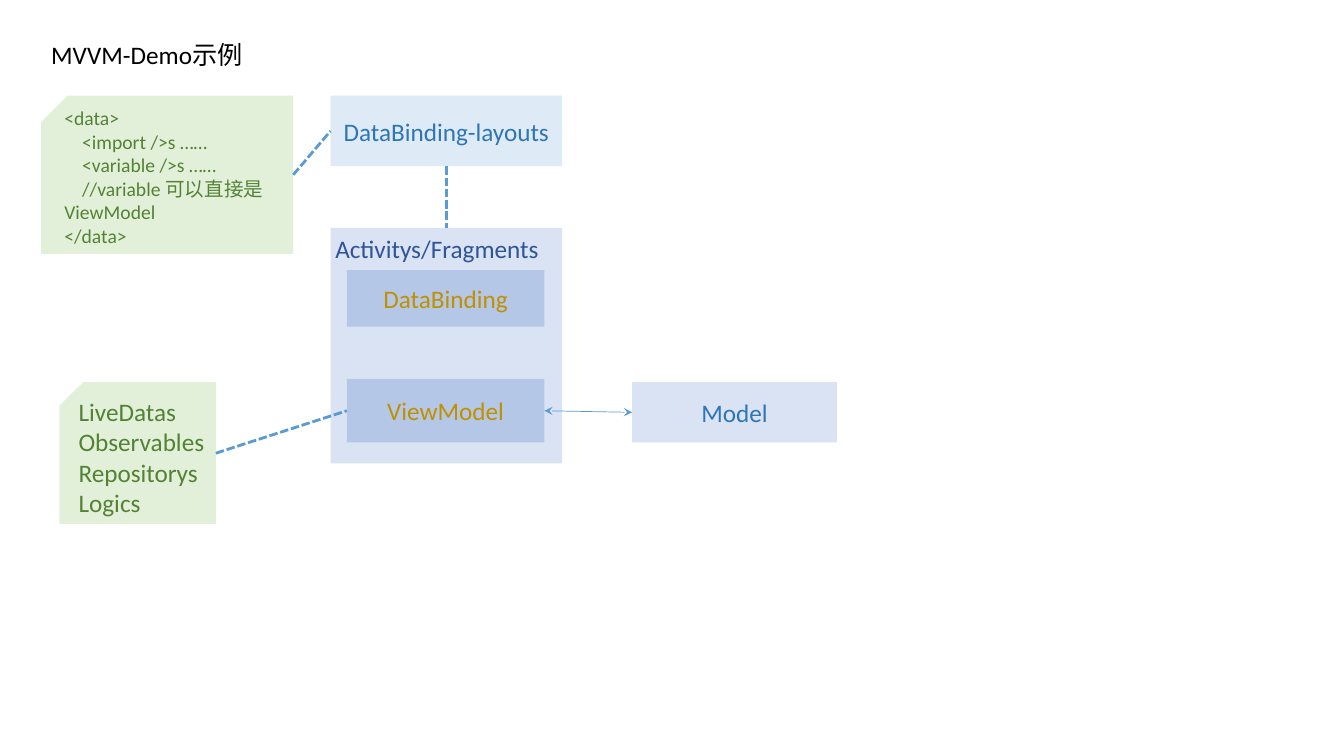
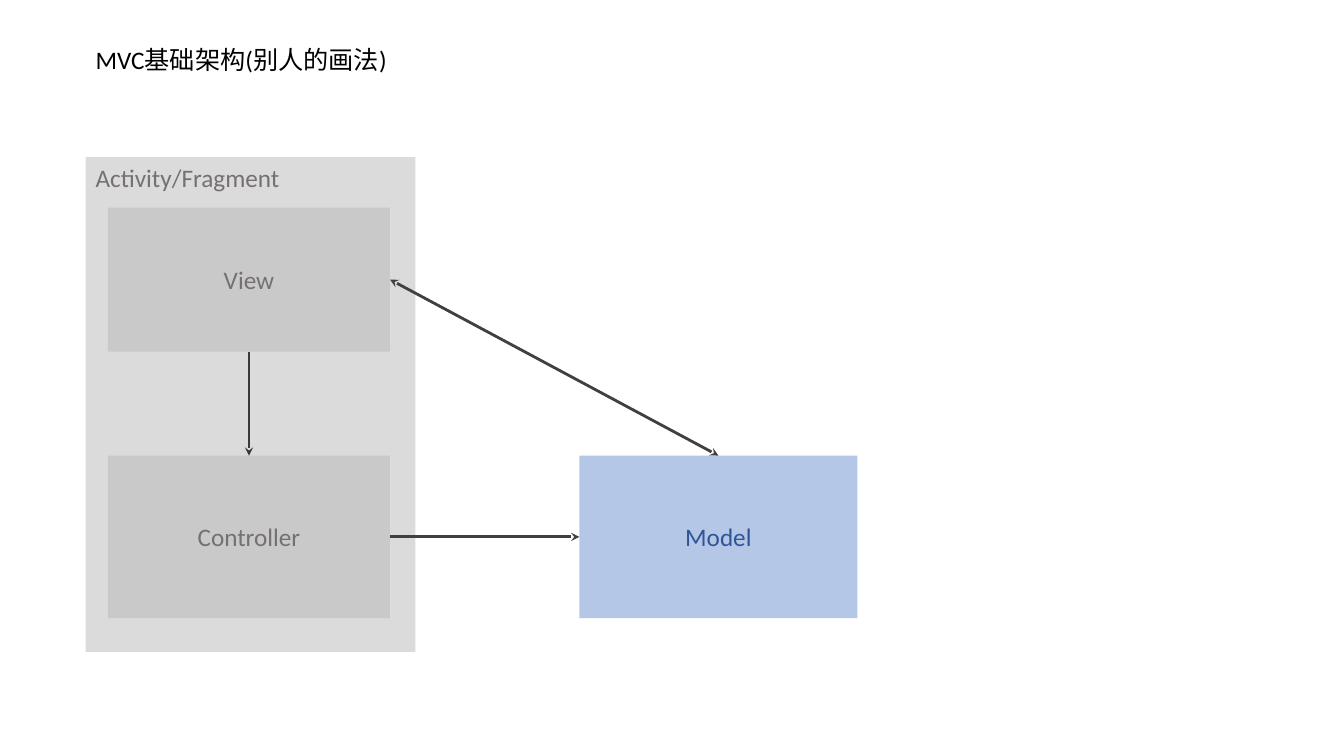
from itertools import zip_longest

from lxml.etree import SubElement
from pptx import Presentation
from pptx.dml.color import RGBColor
from pptx.enum.dml import MSO_LINE as Dash
from pptx.enum.shapes import MSO_CONNECTOR as Link, MSO_SHAPE as Shape
from pptx.enum.text import MSO_ANCHOR as Anchor, MSO_AUTO_SIZE as AutoSize, PP_ALIGN as Align
from pptx.oxml.ns import qn
from pptx.util import Cm, Pt

FONT = "Calibri"
BLACK, BLUE, NAVY, LINK_BLUE = "000000", "2E75B6", "2F5597", "5B9BD5"
SKY, PALE_BLUE, MID_BLUE, GOLD = "DEEBF7", "DAE3F3", "B4C7E7", "BF9000"
PALE_GREEN, GREEN = "E2F0D9", "548235"
PALE_GREY, MID_GREY, TEXT_GREY = "DBDBDB", "C9C9C9", "767171"
ARROW_GREY, ARROW_DARK = "404040", "3B3838"
TOP, LEFT, BOTTOM, RIGHT = range(4)
TWO_CONTENT, TITLE_ONLY = 3, 5


def rgb(value):
    return RGBColor.from_string(value)


def write(frame, text, color=BLACK, size=18, align=Align.LEFT,
          anchor=Anchor.TOP, indents=()):
    """Fill a text frame, one paragraph per line, without bullets."""
    frame.text = text
    frame.word_wrap = True
    frame.auto_size = AutoSize.NONE
    frame.vertical_anchor = anchor
    frame.margin_left = frame.margin_right = Cm(0.25)
    frame.margin_top = frame.margin_bottom = Cm(0.13)
    for paragraph, indent in zip_longest(frame.paragraphs, indents, fillvalue=0):
        paragraph.alignment = align
        paragraph.space_before = Pt(0)
        paragraph.font.name = FONT
        paragraph.font.size = Pt(size)
        paragraph.font.color.rgb = rgb(color)
        properties = paragraph._p.get_or_add_pPr()
        properties.set("marL", "0")
        properties.set("indent", str(Cm(indent)))
        SubElement(properties, qn("a:buNone"))
        for run in paragraph.runs:
            run.font.name = FONT
            run.font.size = Pt(size)
            run.font.color.rgb = rgb(color)


class Diagram:
    """Shared style and the slide being drawn."""

    def __init__(self):
        self.deck = Presentation()
        self.deck.slide_width, self.deck.slide_height = Cm(33.87), Cm(19.05)
        self.slide = None

    def new_slide(self, layout, title, place):
        self.slide = self.deck.slides.add_slide(self.deck.slide_layouts[layout])
        self.fill_placeholder(0, title, place)

    def fill_placeholder(self, index, text, place, **style):
        holder = self.slide.placeholders[index]
        holder.left, holder.top, holder.width, holder.height = map(Cm, place)
        write(holder.text_frame, text, **style)
        # Bring the text in front of what is already drawn
        self.slide.shapes._spTree.append(holder._element)

    def box(self, place, fill, text="", color=BLACK, kind=Shape.RECTANGLE):
        box = self.slide.shapes.add_shape(kind, *map(Cm, place))
        box.shadow.inherit = False
        box.fill.solid()
        box.fill.fore_color.rgb = rgb(fill)
        box.line.fill.background()
        if text:
            write(box.text_frame, text, color=color, align=Align.CENTER,
                  anchor=Anchor.MIDDLE)
        return box

    def label(self, place, text, color):
        label = self.slide.shapes.add_textbox(*map(Cm, place))
        write(label.text_frame, text, color=color)

    def note(self, index, place, text_place, text, **style):
        """Green card with its top left corner cut, and a list on it."""
        card = self.box(place, PALE_GREEN, kind=Shape.SNIP_1_RECTANGLE)
        card._element.spPr.find(qn("a:xfrm")).set("flipH", "1")
        self.fill_placeholder(index, text, text_place, color=GREEN, **style)
        return card

    def link(self, start, end, color, width, dashed=False, heads=()):
        """Each end is a (box, side) pair; cards are met on the right."""
        card = start[0]
        line = self.slide.shapes.add_connector(
            Link.STRAIGHT, card.left + card.width, card.top + card.height // 2, 0, 0)
        if card.auto_shape_type == Shape.RECTANGLE:
            line.begin_connect(*start)
        line.end_connect(*end)
        line.line.color.rgb = rgb(color)
        line.line.width = Pt(width)
        if dashed:
            line.line.dash_style = Dash.SQUARE_DOT
        for head in heads:
            SubElement(line.line._get_or_add_ln(), qn("a:" + head), type="stealth")
        SubElement(line._element.spPr, qn("a:effectLst"))


def draw_mvvm(d):
    d.new_slide(TWO_CONTENT, "MVVM-Demo示例", (1.04, 0.86, 5.38, 1.02))

    # View layer
    layouts = d.box((8.33, 2.41, 5.84, 1.78), SKY, "DataBinding-layouts", BLUE)
    activity = d.box((8.33, 5.74, 5.84, 5.94), PALE_BLUE)
    d.label((8.2, 5.74, 5.9, 1.02), "Activitys/Fragments", NAVY)
    d.box((8.74, 6.81, 4.98, 1.42), MID_BLUE, "DataBinding", GOLD)
    view_model = d.box((8.74, 9.55, 4.98, 1.6), MID_BLUE, "ViewModel", GOLD)
    model = d.box((15.93, 9.63, 5.16, 1.52), PALE_BLUE, "Model", BLUE)

    # Notes
    layout_code = d.note(
        1, (1.04, 2.41, 6.35, 3.99), (1.37, 2.54, 5.92, 3.84),
        "<data>\n<import />s ……\n<variable />s ……\n"
        "//variable 可以直接是ViewModel\n</data>",
        size=14, indents=(0, 0.45, 0.45, 0.45, 0))
    contents = d.note(
        2, (1.5, 9.63, 3.94, 3.58), (1.73, 9.86, 3.81, 3.33),
        "LiveDatas\nObservables\nRepositorys\nLogics")

    # Links
    for start, end in (((layout_code, RIGHT), (layouts, LEFT)),
                       ((layouts, BOTTOM), (activity, TOP)),
                       ((contents, RIGHT), (view_model, LEFT))):
        d.link(start, end, LINK_BLUE, 2, dashed=True)
    d.link((view_model, RIGHT), (model, LEFT), LINK_BLUE, 0.5,
           heads=("headEnd", "tailEnd"))


def draw_mvc(d):
    d.new_slide(TITLE_ONLY, "MVC基础架构(别人的画法)", (2.16, 0.99, 7.92, 1.02))

    # Activity with its view and controller, and the model
    d.box((2.16, 3.96, 8.31, 12.47), PALE_GREY)
    d.label((2.16, 3.96, 5.6, 1.02), "Activity/Fragment", TEXT_GREY)
    view = d.box((2.72, 5.23, 7.11, 3.63), MID_GREY, "View", TEXT_GREY)
    controller = d.box((2.72, 11.48, 7.11, 4.1), MID_GREY, "Controller", TEXT_GREY)
    model = d.box((14.6, 11.48, 7.01, 4.1), MID_BLUE, "Model", NAVY)

    # Links
    d.link((view, BOTTOM), (controller, TOP), ARROW_DARK, 1.5, heads=("tailEnd",))
    d.link((controller, RIGHT), (model, LEFT), ARROW_GREY, 2, heads=("tailEnd",))
    d.link((model, TOP), (view, RIGHT), ARROW_GREY, 2, heads=("headEnd", "tailEnd"))


def main():
    diagram = Diagram()
    draw_mvvm(diagram)
    draw_mvc(diagram)
    diagram.deck.save("out.pptx")


if __name__ == "__main__":
    main()
